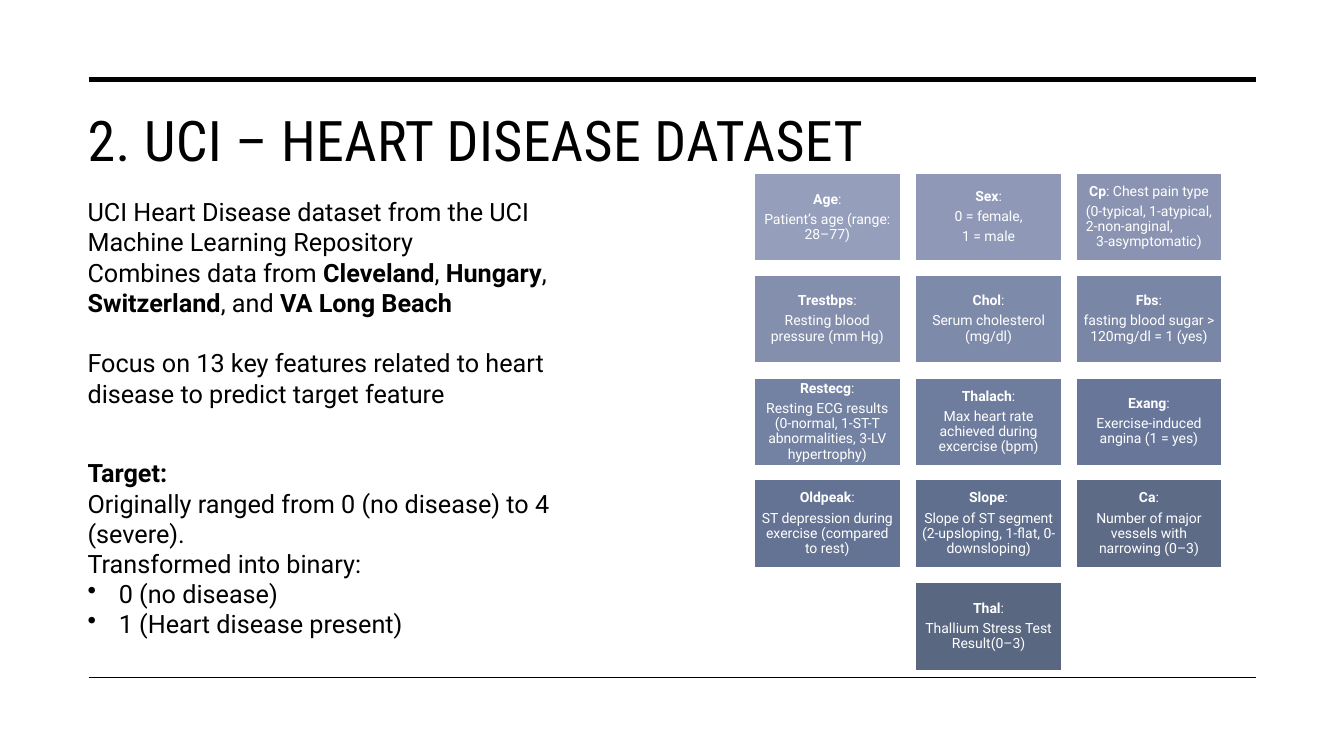
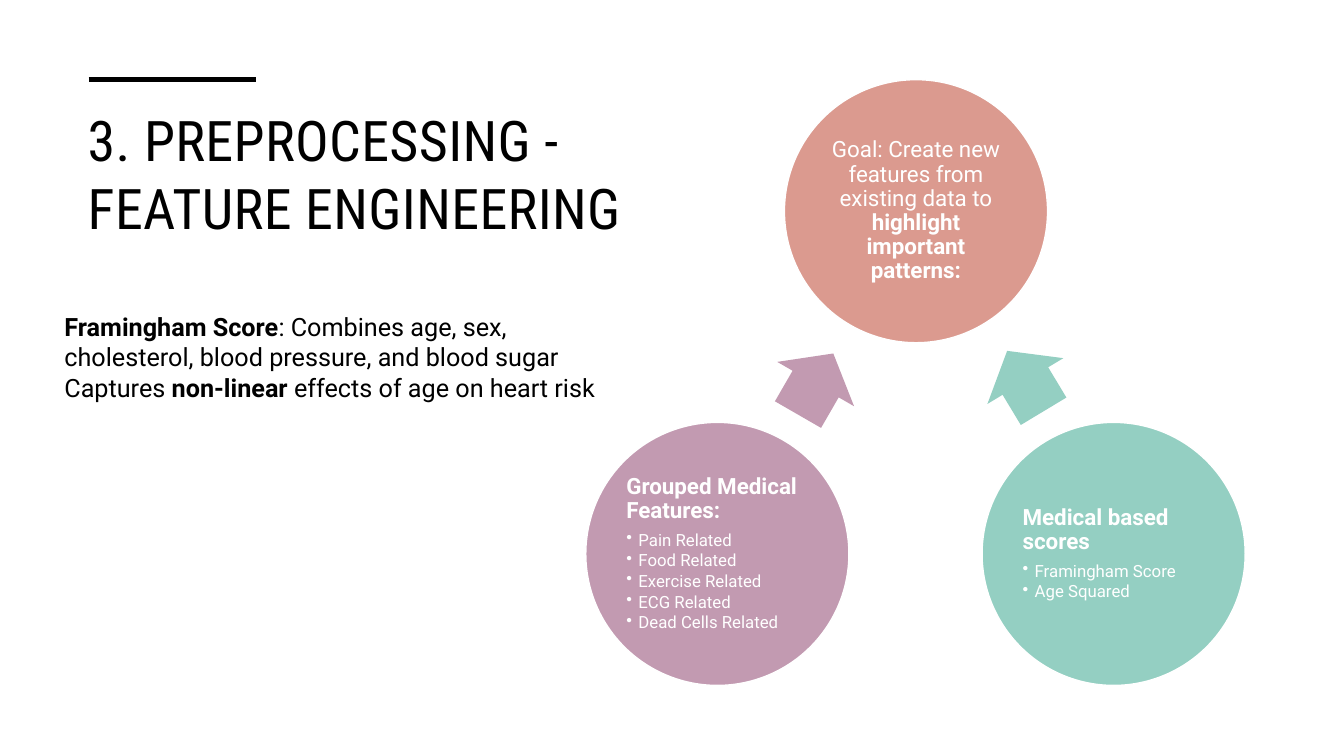
import dataclasses
import typing

import lxml.etree
import pptx
import pptx.dml.color
import pptx.enum.shapes
import pptx.enum.text
import pptx.oxml.ns
import pptx.shapes.autoshape
import pptx.slide
import pptx.text.text
import pptx.util

EMU_PER_PX = 9144  # 100 px to the inch
COLORS = {
    "ink": "000000",
    "paper": "FFFFFF",
    "goal": "DB9A8F",
    "scores": "94CFC2",
    "groups": "C29AB1",
}
TILE_STOPS = ("959EBB", "687799", "596781")
BODY_FONT, TITLE_FONT = "Roboto", "Roboto Condensed"

ALIGN = pptx.enum.text.PP_ALIGN
ANCHOR = pptx.enum.text.MSO_ANCHOR
SHAPE = pptx.enum.shapes.MSO_SHAPE


@dataclasses.dataclass(frozen=True)
class Box:
    x: int
    y: int
    w: int
    h: int

    def emu(self) -> list[int]:
        return [px(v) for v in (self.x, self.y, self.w, self.h)]


@dataclasses.dataclass(frozen=True)
class Para:
    """One paragraph; ** switches bold on and off."""
    text: str
    size: int = 18
    color: str = "ink"
    align: typing.Any = ALIGN.LEFT
    before: float = 0
    after: float = 0
    spacing: float = 1.0
    indent: int = 0  # px from the left
    bullet: bool = False


@dataclasses.dataclass(frozen=True)
class Circle:
    box: Box
    color: str
    paras: list[Para]


@dataclasses.dataclass(frozen=True)
class Arrow:
    box: Box
    color: str
    angle: float


def px(value: int) -> int:
    return value * EMU_PER_PX


def rgb(color: str) -> pptx.dml.color.RGBColor:
    return pptx.dml.color.RGBColor.from_string(COLORS.get(color, color))


def apply(obj: typing.Any, values: dict[str, typing.Any]) -> None:
    for name, value in values.items():
        setattr(obj, name, value)


def write(tf: pptx.text.text.TextFrame, paras: list[Para], inset: int | None = None,
          anchor: typing.Any = ANCHOR.TOP) -> None:
    apply(tf, {"word_wrap": True, "vertical_anchor": anchor})
    if inset is not None:
        apply(tf, {f"margin_{side}": px(inset) for side in ("left", "top", "right", "bottom")})
    for i, para in enumerate(paras):
        p = tf.paragraphs[0] if i == 0 else tf.add_paragraph()
        apply(p, {
            "alignment": para.align,
            "line_spacing": para.spacing,
            "space_before": pptx.util.Pt(para.before),
            "space_after": pptx.util.Pt(para.after),
        })
        if para.indent:
            pPr = p._p.get_or_add_pPr()
            pPr.set("marL", str(px(para.indent)))
            if para.bullet:
                pPr.set("indent", str(-px(para.indent)))
                lxml.etree.SubElement(pPr, pptx.oxml.ns.qn("a:buChar")).set("char", "•")
        for j, part in enumerate(para.text.split("**")):
            if part:
                r = p.add_run()
                r.text = part
                apply(r.font, {"name": BODY_FONT, "size": pptx.util.Pt(para.size), "bold": j % 2 == 1})
                r.font.color.rgb = rgb(para.color)


def add_title_slide(prs: typing.Any, title: str, box: Box) -> pptx.slide.Slide:
    s = prs.slides.add_slide(prs.slide_layouts[5])
    sp = s.shapes.title
    apply(sp, dict(zip(("left", "top", "width", "height"), box.emu())))
    tf = sp.text_frame
    apply(tf, {
        "word_wrap": True,
        "vertical_anchor": ANCHOR.TOP,
        "auto_size": pptx.enum.text.MSO_AUTO_SIZE.NONE,
    })
    p = tf.paragraphs[0]
    p.alignment = ALIGN.LEFT
    r = p.add_run()
    r.text = title
    apply(r.font, {"name": TITLE_FONT, "size": pptx.util.Pt(40), "bold": False})
    r.font.color.rgb = rgb("ink")
    r._r.get_or_add_rPr().set("spc", "30")
    return s


def add_rule(s: pptx.slide.Slide, x2: int, y: int, weight: float) -> None:
    line = s.shapes.add_connector(
        pptx.enum.shapes.MSO_CONNECTOR.STRAIGHT, px(88), px(y), px(x2), px(y))
    line.line.color.rgb = rgb("ink")
    line.line.width = pptx.util.Pt(weight)
    lxml.etree.SubElement(line._element.spPr, pptx.oxml.ns.qn("a:effectLst"))


def add_text(s: pptx.slide.Slide, box: Box, paras: list[Para]) -> None:
    write(s.shapes.add_textbox(*box.emu()).text_frame, paras)


def add_filled(s: pptx.slide.Slide, kind: typing.Any, box: Box, color: str,
               outlined: bool = True) -> pptx.shapes.autoshape.Shape:
    sp = s.shapes.add_shape(kind, *box.emu())
    sp.shadow.inherit = False
    sp.fill.solid()
    sp.fill.fore_color.rgb = rgb(color)
    if outlined:
        sp.line.color.rgb = rgb("paper")
        sp.line.width = pptx.util.Pt(1)
    else:
        sp.line.fill.background()
    return sp


def tile_color(i: int) -> str:
    """Blend over tiles 0 to 8, then 8 to 12."""
    start, end, t = (*TILE_STOPS[:2], i / 8) if i <= 8 else (*TILE_STOPS[1:], (i - 8) / 4)
    pairs = zip(bytes.fromhex(start), bytes.fromhex(end))
    return "".join(f"{round(a + (b - a) * t):02X}" for a, b in pairs)


def tile_para(text: str, **values: typing.Any) -> Para:
    return Para(text, **({"size": 10, "color": "paper", "align": ALIGN.CENTER,
                          "spacing": 0.9, "after": 3.5} | values))


def heading(text: str, align: typing.Any = ALIGN.LEFT) -> Para:
    return Para(text, 16, "paper", align, after=5.6, spacing=0.9)


def items(*texts: str) -> list[Para]:
    return [Para(t, 12, "paper", after=1.8, spacing=0.9, indent=12, bullet=True) for t in texts]


FEATURES = [
    [tile_para("**Age**:"), tile_para("Patient’s age (range: 28–77)")],
    [tile_para("**Sex**:"), tile_para("0 = female,"), tile_para("1 = male")],
    [tile_para("**Cp**: Chest pain type"),
     tile_para("(0-typical, 1-atypical,", after=0),
     tile_para("2-non-anginal,", align=ALIGN.LEFT, indent=6, after=0),
     tile_para("3-asymptomatic)")],
    [tile_para("**Trestbps**:"), tile_para("Resting blood pressure (mm Hg)")],
    [tile_para("**Chol**:"), tile_para("Serum cholesterol (mg/dl)")],
    [tile_para("**Fbs**:"), tile_para("fasting blood sugar > 120mg/dl = 1 (yes)")],
    [tile_para("**Restecg**:"),
     tile_para("Resting ECG results (0-normal, 1-ST-T abnormalities, 3-LV hypertrophy)")],
    [tile_para("**Thalach**:"), tile_para("Max heart rate achieved during excercise (bpm)")],
    [tile_para("**Exang**:"), tile_para("Exercise-induced angina (1 = yes)")],
    [tile_para("**Oldpeak**:"), tile_para("ST depression during exercise (compared to rest)")],
    [tile_para("**Slope**:"),
     tile_para("Slope of ST segment (2-upsloping, 1-flat, 0-downsloping)")],
    [tile_para("**Ca**:"), tile_para("Number of major vessels with narrowing (0–3)")],
    [tile_para("**Thal**:"), tile_para("Thallium Stress Test Result(0–3)")],
]

CIRCLES = [
    Circle(Box(778, 79, 261, 261), "goal", [
        heading("Goal: Create new features from existing data to **highlight important patterns:**",
                ALIGN.CENTER)]),
    Circle(Box(974, 419, 261, 261), "scores", [
        heading("**Medical based scores**"), *items("Framingham Score", "Age Squared")]),
    Circle(Box(581, 419, 261, 261), "groups", [
        heading("**Grouped Medical Features:**"),
        *items("Pain Related", "Food Related", "Exercise Related", "ECG Related",
               "Dead Cells Related")]),
]

ARROWS = [
    Arrow(Box(982, 334, 70, 88), "scores", 238.9),
    Arrow(Box(774, 337, 70, 88), "groups", 300),
]


def build_dataset(prs: typing.Any) -> None:
    s = add_title_slide(prs, "2. UCI – HEART DISEASE DATASET", Box(77, 100, 1169, 143))
    add_rule(s, 1246, 79, 3.5)
    add_rule(s, 1246, 672, 1)

    # Description and target
    add_text(s, Box(77, 190, 548, 222), [
        Para("UCI Heart Disease dataset from the UCI Machine Learning Repository"),
        Para("Combines data from **Cleveland**, **Hungary**, **Switzerland**, and **VA Long Beach**"),
        Para("Focus on 13 key features related to heart disease to predict target feature",
             before=21.6),
    ])
    add_text(s, Box(77, 449, 562, 162), [
        Para("**Target:**"),
        Para("Originally ranged from 0 (no disease) to 4 (severe)."),
        Para("Transformed into binary:"),
        Para("0 (no disease)", indent=31, bullet=True),
        Para("1 (Heart disease present)", indent=31, bullet=True),
    ])

    # Feature tiles, three to a row, the last one centred
    for i, paras in enumerate(FEATURES):
        row, col = divmod(i, 3)
        if i == len(FEATURES) - 1:
            col = 1
        box = Box(748 + (319 * col + 1) // 2, 172 + 203 * row // 2, 145, 87)
        sp = add_filled(s, SHAPE.RECTANGLE, box, tile_color(i))
        write(sp.text_frame, paras, inset=4, anchor=ANCHOR.MIDDLE)


def build_engineering(prs: typing.Any) -> None:
    s = add_title_slide(prs, "3. PREPROCESSING - FEATURE ENGINEERING", Box(77, 100, 589, 435))
    add_rule(s, 254, 79, 3.5)

    # Cycle of circles and arrows
    for circle in CIRCLES:
        sp = add_filled(s, SHAPE.OVAL, circle.box, circle.color)
        write(sp.text_frame, circle.paras, inset=2, anchor=ANCHOR.MIDDLE)
    for arrow in ARROWS:
        sp = add_filled(s, SHAPE.RIGHT_ARROW, arrow.box, arrow.color, outlined=False)
        sp.adjustments[0], sp.adjustments[1] = 0.6, 0.5
        sp.rotation = arrow.angle

    # Score explanation
    add_text(s, Box(54, 304, 558, 131), [
        Para("**Framingham Score**: Combines age, sex, cholesterol, blood pressure, and blood sugar"),
        Para("Captures **non-linear** effects of age on heart risk"),
    ])


def main() -> None:
    prs = pptx.Presentation()
    apply(prs, {"slide_width": px(1333), "slide_height": px(750)})
    build_dataset(prs)
    build_engineering(prs)
    prs.save("out.pptx")


if __name__ == "__main__":
    main()
